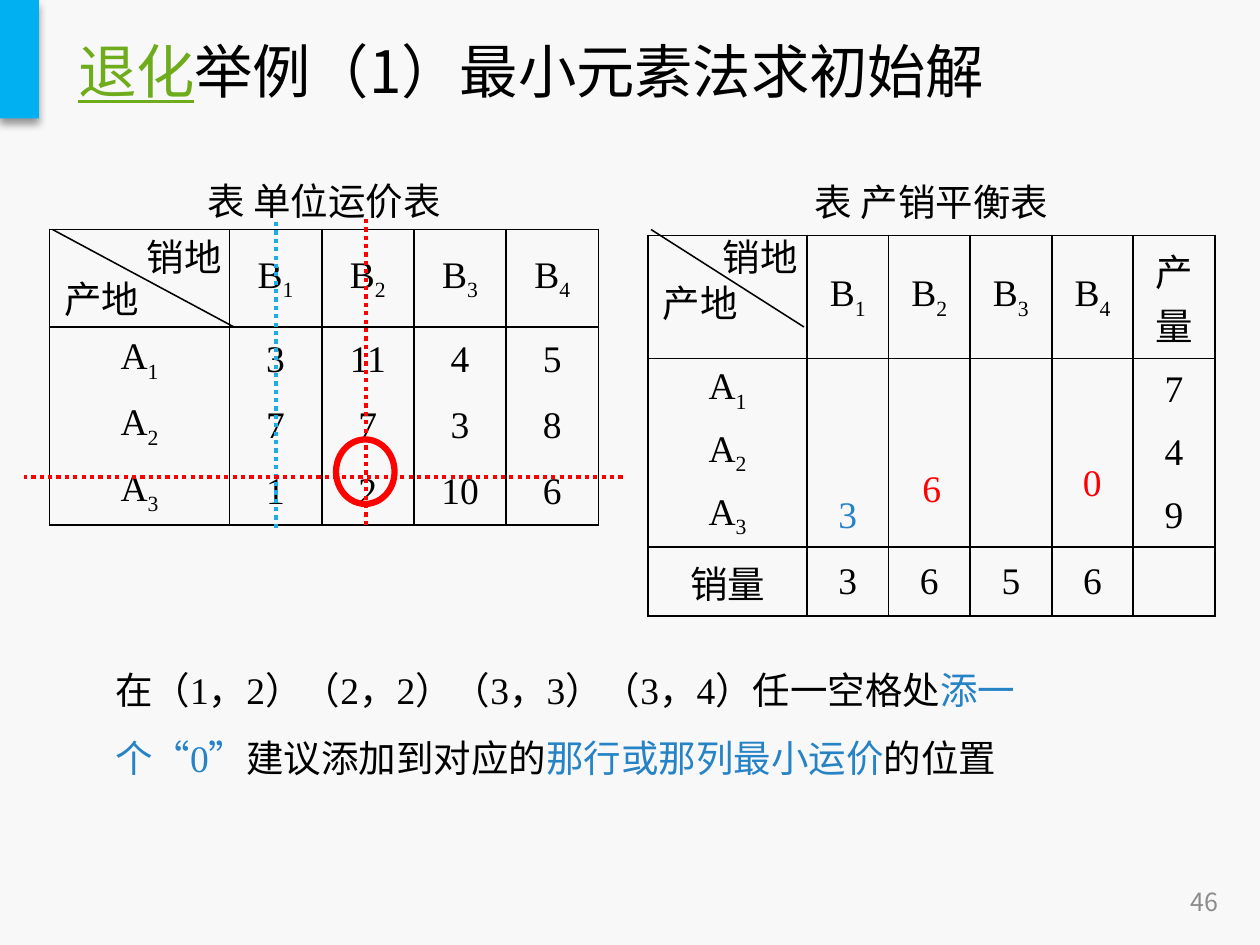
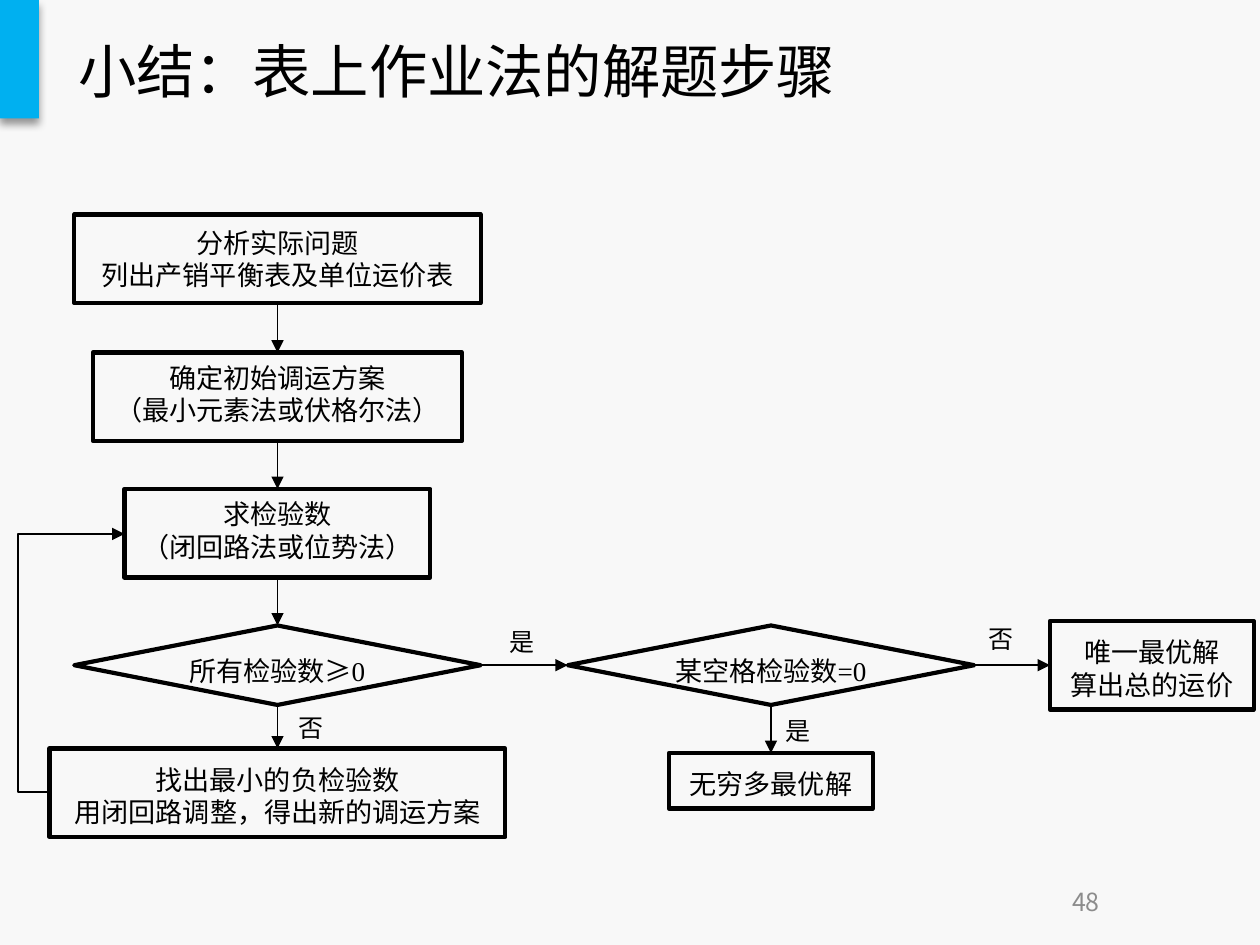
"""Build two slides on degenerate solutions and the steps of the tabular method."""
import pptx
import pptx.dml.color
import pptx.enum.dml
import pptx.enum.shapes
import pptx.enum.text
import pptx.oxml
import pptx.oxml.ns
import pptx.util
from lxml import etree

Inches, Pt = pptx.util.Inches, pptx.util.Pt
RGBColor = pptx.dml.color.RGBColor
ALIGN = pptx.enum.text.PP_ALIGN
ANCHOR = pptx.enum.text.MSO_ANCHOR
SHAPE = pptx.enum.shapes.MSO_SHAPE
CONNECTOR = pptx.enum.shapes.MSO_CONNECTOR
DOTTED = pptx.enum.dml.MSO_LINE.ROUND_DOT
qn = pptx.oxml.ns.qn

BLACK = RGBColor(0x00, 0x00, 0x00)
PAPER = RGBColor(0xF8, 0xF8, 0xF8)
BAND = RGBColor(0x00, 0xB0, 0xF0)
GREEN = RGBColor(0x6E, 0xAC, 0x1C)
GREY = RGBColor(0x8C, 0x8C, 0x8C)
BLUE = RGBColor(0x26, 0x83, 0xC6)
SKY = RGBColor(0x1C, 0xAD, 0xE4)
RED = RGBColor(0xFF, 0x00, 0x00)
SANS, SERIF = "Noto Sans CJK SC", "Times New Roman"
TOP, LEFT, BOTTOM, RIGHT = range(4)

BALANCE = {
    "at": (4.32, 1.1, 3.78), "first_column": 1.06,
    "heights": (0.47, 0.82, 0.42, 0.42, 0.42, 0.46),
    "rules": (1, 2, 5, 6), "colours": {(4, 1): BLUE},
    "rows": [
        ["表 产销平衡表", "", "", "", "", ""],
        ["", "B_1", "B_2", "B_3", "B_4", "产量"],
        ["A_1", "", "", "", "", "7"],
        ["A_2", "", "", "", "", "4"],
        ["A_3", "3", "", "", "", "9"],
        ["销量", "3", "6", "5", "6", ""],
    ],
    "diagonal": (4.34, 1.53, 5.36, 2.18),
    "corner": [("销地", (4.72, 1.51, 0.79, 0.4)), ("产地", (4.32, 1.82, 1.04, 0.46))],
}
COSTS = {
    "at": (0.33, 1.13, 3.66), "first_column": 1.2,
    "heights": (0.4, 0.65, 0.44, 0.44, 0.44),
    "rules": (1, 2, 5), "colours": {},
    "rows": [
        ["表 单位运价表", "", "", "", ""],
        ["", "B_1", "B_2", "B_3", "B_4"],
        ["A_1", "3", "11", "4", "5"],
        ["A_2", "7", "7", "3", "8"],
        ["A_3", "1", "2", "10", "6"],
    ],
    "diagonal": (0.35, 1.53, 1.56, 2.18),
    "corner": [("销地", (0.88, 1.51, 0.72, 0.4)), ("产地", (0.33, 1.79, 1.11, 0.4))],
}
CROSSED_OUT = [
    ((1.84, 1.48, 1.84, 3.52), SKY),
    ((4.15, 3.18, 0.16, 3.18), RED),
    ((2.44, 3.5, 2.44, 1.45), RED),
]
SMALLEST_COST = (2.24, 2.93, 0.39, 0.43)
ALLOCATIONS = [("6", (6.05, 3.05, 0.29, 0.4)), ("0", (7.12, 3.01, 0.29, 0.4))]
ADVICE = [
    ("在（1，2）（2，2）（3，3）（3，4）任一空格处", {}),
    ("添一个“0”", {"color": BLUE}),
    ("建议添加到对应的", {}),
    ("那行或那列最小运价", {"color": BLUE}),
    ("的位置", {}),
]

STEPS = {
    "analyse": (SHAPE.RECTANGLE, 1.85, 1.43, 2.71, 0.59, 0, ["分析实际问题", "列出产销平衡表及单位运价表"]),
    "initial": (SHAPE.RECTANGLE, 1.85, 2.35, 2.46, 0.59, -0.02, ["确定初始调运方案", "（最小元素法或伏格尔法）"]),
    "check": (SHAPE.RECTANGLE, 1.85, 3.26, 2.04, 0.59, -0.02, ["求检验数", "（闭回路法或位势法）"]),
    "adjust": (SHAPE.RECTANGLE, 1.85, 4.99, 3.04, 0.59, 0.02, ["找出最小的负检验数", "用闭回路调整，得出新的调运方案"]),
    "infinite": (SHAPE.RECTANGLE, 5.14, 5.02, 1.36, 0.37, 0.02, ["无穷多最优解"]),
    "unique": (SHAPE.RECTANGLE, 7.68, 4.14, 1.36, 0.59, 0.02, ["唯一最优解", "算出总的运价"]),
    "all_positive": (SHAPE.FLOWCHART_DECISION, 1.85, 4.17, 2.71, 0.53, 0.04, ["所有检验数≥0"]),
    "some_zero": (SHAPE.FLOWCHART_DECISION, 5.14, 4.17, 2.71, 0.53, 0.04, ["某空格检验数=0"]),
}
FLOWS = [
    ("analyse", BOTTOM, "initial", TOP),
    ("initial", BOTTOM, "check", TOP),
    ("check", BOTTOM, "all_positive", TOP),
    ("all_positive", BOTTOM, "adjust", TOP),
    ("all_positive", RIGHT, "some_zero", LEFT),
    ("some_zero", RIGHT, "unique", LEFT),
    ("some_zero", BOTTOM, "infinite", TOP),
]
RETURN_FLOW = (0.33, 5.28, 0.83, 3.56)
ANSWERS = [("是", 3.3, 4.13), ("是", 5.14, 4.72), ("否", 6.49, 4.11), ("否", 1.89, 4.7)]


def inches(values):
    return [Inches(value) for value in values]


def set_values(target, values):
    for name, value in values.items():
        setattr(target, name, value)


def write(paragraph, runs, size, font=SERIF, color=BLACK, align=ALIGN.LEFT, spacing=None):
    paragraph.alignment = align
    if spacing:
        paragraph.line_spacing = Pt(size * spacing)
    for text, changes in runs:
        run = paragraph.add_run()
        run.text = text
        look = {"name": font, "size": Pt(size), "color": color, **changes}
        run.font.color.rgb = look.pop("color")
        baseline = look.pop("baseline", None)
        set_values(run.font, look)
        properties = run.font._element
        etree.SubElement(properties, qn("a:ea"), typeface=SANS)
        if baseline:
            properties.set("baseline", baseline)


def add_label(slide, runs, at, size=18, spacing=1.2, anchor=ANCHOR.TOP, margin_right=0.1, **look):
    frame = slide.shapes.add_textbox(*inches(at)).text_frame
    set_values(frame, {"word_wrap": True, "vertical_anchor": anchor, "margin_right": Inches(margin_right)})
    write(frame.paragraphs[0], runs, size, spacing=spacing, **look)


def add_outline(slide, kind, at, color, width):
    shape = slide.shapes.add_shape(kind, *inches(at))
    shape.shadow.inherit = False
    shape.fill.background()
    shape.line.color.rgb = color
    shape.line.width = Pt(width)
    return shape


def add_line(slide, ends, color=BLACK, width=0.75, dash=None, arrow=False, kind=CONNECTOR.STRAIGHT):
    connector = slide.shapes.add_connector(kind, *inches(ends))
    connector.line.color.rgb = color
    set_values(connector.line, {"width": Pt(width), "dash_style": dash})
    properties = connector.element.spPr
    if arrow:
        etree.SubElement(properties.find(qn("a:ln")), qn("a:tailEnd"), type="triangle")
    etree.SubElement(properties, qn("a:effectLst"))
    return connector


def set_borders(cell, drawn):
    properties = cell._tc.get_or_add_tcPr()
    for position, side in enumerate("LRTB"):
        border = etree.Element(qn(f"a:ln{side}"), w=str(Pt(1)))
        if side in drawn:
            fill = etree.SubElement(border, qn("a:solidFill"))
            etree.SubElement(fill, qn("a:srgbClr"), val=str(BLACK))
        else:
            etree.SubElement(border, qn("a:noFill"))
        properties.insert(position, border)


def add_transport_table(slide, data):
    rows, heights, rules = data["rows"], data["heights"], data["rules"]
    left, top, width = data["at"]
    columns = len(rows[0])
    frame = slide.shapes.add_table(len(rows), columns, *inches((left, top, width, sum(heights))))
    table = frame.table
    set_values(table, {"first_row": False, "horz_banding": False})
    for number, column in enumerate(table.columns):
        rest = (width - data["first_column"]) / (columns - 1)
        column.width = Inches(rest if number else data["first_column"])
    for r, texts in enumerate(rows):
        table.rows[r].height = Inches(heights[r])
        for c, text in enumerate(texts):
            cell = table.cell(r, c)
            cell.fill.background()
            set_values(cell, {"vertical_anchor": ANCHOR.MIDDLE,
                              "margin_top": Inches(0.01), "margin_bottom": Inches(0.01)})
            drawn = ("LR" if r else "") + ("T" if r in rules else "") + ("B" if r + 1 in rules else "")
            set_borders(cell, drawn)
            letter, _, index = text.partition("_")
            runs = [(letter, {})] if letter else []
            if index:
                runs.append((index, {"baseline": "-25000"}))
            write(cell.text_frame.paragraphs[0], runs, 18, align=ALIGN.CENTER,
                  color=data["colours"].get((r, c), BLACK))
    table.cell(0, 0).merge(table.cell(0, columns - 1))
    add_line(slide, data["diagonal"])
    for text, at in data["corner"]:
        add_label(slide, [(text, {})], at)


def add_base_slide(prs, title_runs, number, number_align):
    slide = prs.slides.add_slide(prs.slide_layouts[5])
    band = slide.shapes.add_shape(SHAPE.RECTANGLE, *inches((0, 0, 0.26, 0.79)))
    band.shadow.inherit = False
    band.fill.solid()
    band.fill.fore_color.rgb = BAND
    band.line.fill.background()
    shadow = etree.SubElement(band.element.spPr.find(qn("a:effectLst")), qn("a:outerShdw"),
                              blurRad=str(Pt(4)), dist=str(Pt(3)), dir="5400000", rotWithShape="0")
    color = etree.SubElement(shadow, qn("a:srgbClr"), val=str(BLACK))
    etree.SubElement(color, qn("a:alpha"), val="40000")
    title = slide.shapes.title
    set_values(title, dict(zip(("left", "top", "width", "height"), inches((0.42, 0.16, 7.56, 0.61)))))
    set_values(title.text_frame, {"vertical_anchor": ANCHOR.MIDDLE, "word_wrap": True,
                                  "auto_size": pptx.enum.text.MSO_AUTO_SIZE.NONE})
    write(title.text_frame.paragraphs[0], title_runs, 28, font=SANS)
    add_label(slide, [(number, {})], (6.26, 5.84, 1.96, 0.34), 12, spacing=None,
              anchor=ANCHOR.MIDDLE, font=SANS, color=GREY, align=number_align)
    return slide


def build_degenerate_example(prs):
    title = [("退化", {"color": GREEN, "underline": True}), ("举例（1）最小元素法求初始解", {})]
    slide = add_base_slide(prs, title, "46", ALIGN.RIGHT)
    for data in (BALANCE, COSTS):
        add_transport_table(slide, data)
    for ends, color in CROSSED_OUT:
        add_line(slide, ends, color, 2, DOTTED)
    add_outline(slide, SHAPE.OVAL, SMALLEST_COST, RED, 3)
    for text, at in ALLOCATIONS:
        add_label(slide, [(text, {})], at, color=RED)
    add_label(slide, ADVICE, (0.67, 4.25, 7.16, 1.01), spacing=1.8, margin_right=0.05)


def build_method_summary(prs):
    slide = add_base_slide(prs, [("小结：表上作业法的解题步骤", {})], "48", ALIGN.CENTER)
    steps = {}
    for name, (kind, centre, top, width, height, shift, lines) in STEPS.items():
        step = add_outline(slide, kind, (centre - width / 2, top, width, height), BLACK, 2)
        frame = step.text_frame
        set_values(frame, {"word_wrap": False, "vertical_anchor": ANCHOR.MIDDLE,
                           "margin_top": Inches(max(0, 2 * shift)),
                           "margin_bottom": Inches(max(0, -2 * shift))})
        for number, text in enumerate(lines):
            paragraph = frame.add_paragraph() if number else frame.paragraphs[0]
            write(paragraph, [(text, {})], 13, align=ALIGN.CENTER, spacing=1.2)
        steps[name] = step
    for source, source_side, target, target_side in FLOWS:
        flow = add_line(slide, (0, 0, 0, 0), arrow=True)
        flow.begin_connect(steps[source], source_side)
        flow.end_connect(steps[target], target_side)
    return_flow = add_line(slide, RETURN_FLOW, arrow=True, kind=CONNECTOR.ELBOW)
    return_flow_bends = return_flow.element.spPr.find(qn("a:prstGeom")).get_or_add_avLst()
    etree.SubElement(return_flow_bends, qn("a:gd"), name="adj1", fmla="val -42000")
    for text, left, top in ANSWERS:
        add_label(slide, [(text, {})], (left, top, 0.75, 0.3), 12)


def main():
    prs = pptx.Presentation()
    prs.slide_width, prs.slide_height = inches((8.4, 6.3))
    background = prs.slide_master.background.fill
    background.solid()
    background.fore_color.rgb = PAPER
    build_degenerate_example(prs)
    build_method_summary(prs)
    prs.save("out.pptx")


if __name__ == "__main__":
    main()
